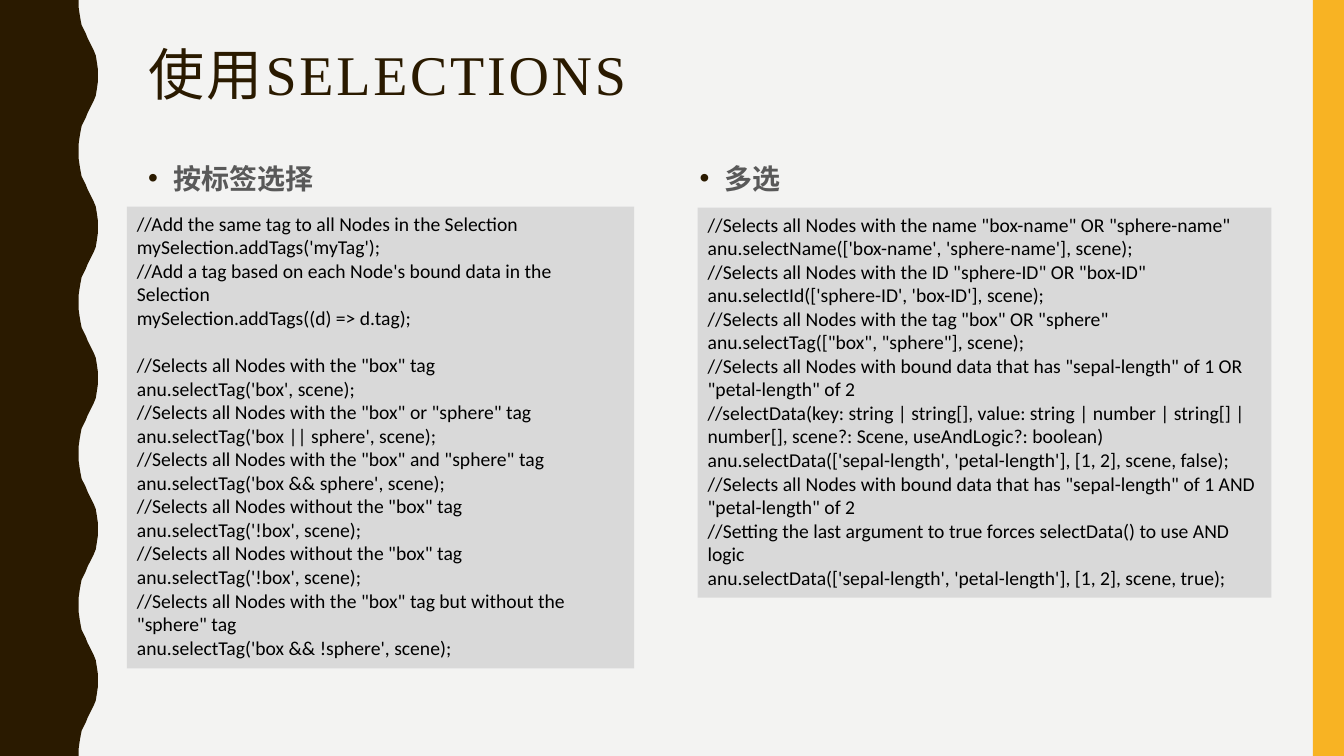
from lxml import etree
from pptx import Presentation
from pptx.dml.color import RGBColor
from pptx.enum.shapes import MSO_SHAPE
from pptx.enum.text import MSO_ANCHOR, MSO_AUTO_SIZE, PP_ALIGN
from pptx.oxml.ns import qn
from pptx.util import Emu, Pt

PX = 9144  # 100 px to the inch
RECTANGLE = MSO_SHAPE.RECTANGLE
TOP = MSO_ANCHOR.TOP
LEFT = PP_ALIGN.LEFT
GROW = MSO_AUTO_SIZE.SHAPE_TO_FIT_TEXT

WIDTH, HEIGHT = 1333, 750
BROWN, YELLOW, PAPER = "2A1A00", "F8B323", "F3F3F2"
CODE_GREY, HEADING_GREY, BLACK = "D9D9D9", "595959", "000000"

WAVE_LENGTH = 150
HALF_WAVE = [(78, 0), (78, 7), (79, 14), (80, 20), (81, 25), (83, 29), (85, 33), (87, 38),
             (89, 42), (91, 46), (93, 50), (95, 55), (96, 61), (97, 68), (97, 75)]

# Each inner list is a block of code lines; blocks are set apart by one line.
TAG_CODE = [
    [
        "//Add the same tag to all Nodes in the Selection",
        "mySelection.addTags('myTag');",
        "//Add a tag based on each Node's bound data in the Selection",
        "mySelection.addTags((d) => d.tag);",
    ],
    [
        "//Selects all Nodes with the \"box\" tag",
        "anu.selectTag('box', scene);",
        "//Selects all Nodes with the \"box\" or \"sphere\" tag",
        "anu.selectTag('box || sphere', scene);",
        "//Selects all Nodes with the \"box\" and \"sphere\" tag",
        "anu.selectTag('box && sphere', scene);",
        "//Selects all Nodes without the \"box\" tag",
        "anu.selectTag('!box', scene);",
        "//Selects all Nodes without the \"box\" tag",
        "anu.selectTag('!box', scene);",
        "//Selects all Nodes with the \"box\" tag but without the \"sphere\" tag",
        "anu.selectTag('box && !sphere', scene);",
    ],
]
MULTIPLE_CODE = [
    [
        "//Selects all Nodes with the name \"box-name\" OR \"sphere-name\"",
        "anu.selectName(['box-name', 'sphere-name'], scene);",
        "//Selects all Nodes with the ID \"sphere-ID\" OR \"box-ID\"",
        "anu.selectId(['sphere-ID', 'box-ID'], scene);",
        "//Selects all Nodes with the tag \"box\" OR \"sphere\"",
        "anu.selectTag([\"box\", \"sphere\"], scene);",
        "//Selects all Nodes with bound data that has \"sepal-length\" of 1 OR \"petal-length\" of 2",
        "//selectData(key: string | string[], value: string | number | string[] | number[], "
        "scene?: Scene, useAndLogic?: boolean)",
        "anu.selectData(['sepal-length', 'petal-length'], [1, 2], scene, false);",
        "//Selects all Nodes with bound data that has \"sepal-length\" of 1 AND \"petal-length\" of 2",
        "//Setting the last argument to true forces selectData() to use AND logic",
        "anu.selectData(['sepal-length', 'petal-length'], [1, 2], scene, true);",
    ],
]


def px(length):
    return Emu(length * PX)


def color(hex_string):
    return RGBColor.from_string(hex_string)


def paint(shape, fill):
    shape.shadow.inherit = False
    shape.fill.solid()
    shape.fill.fore_color.rgb = color(fill)
    shape.line.fill.background()


def add_rectangle(slide, box, fill):
    shape = slide.shapes.add_shape(RECTANGLE, *map(px, box))
    paint(shape, fill)
    return shape


def add_wave_band(slide):
    """Draw the left band, whose right edge repeats one wave down the slide."""
    falling = [(x, WAVE_LENGTH - y) for x, y in reversed(HALF_WAVE[1:-1])]
    edge = [(x, top + y) for top in range(0, HEIGHT, WAVE_LENGTH) for x, y in HALF_WAVE + falling]
    builder = slide.shapes.build_freeform(0, 0, scale=PX)
    builder.add_line_segments(edge + [(HALF_WAVE[0][0], HEIGHT), (0, HEIGHT)], close=True)
    paint(builder.convert_to_shape(), BROWN)


def add_run(paragraph, text, size, font_name, hex_string, bold=False):
    run = paragraph.add_run()
    run.text = text
    run.font.size = Pt(size)
    run.font.name = font_name
    run.font.bold = bold
    run.font.color.rgb = color(hex_string)
    return run


def add_text_box(slide, box):
    """Add a wrapping text box and return its first paragraph."""
    frame = slide.shapes.add_textbox(*map(px, box)).text_frame
    frame.word_wrap = True
    frame.vertical_anchor = TOP
    return frame.paragraphs[0]


def add_title(slide, text):
    paragraph = add_text_box(slide, (137, 42, 1113, 163))
    paragraph.line_spacing = 0.9
    run = add_run(paragraph, text, 40, "Times New Roman", BROWN)
    run.font._element.set("spc", "200")


def add_bullet(paragraph):
    properties = paragraph._p.get_or_add_pPr()
    properties.set("marL", str(px(25)))
    properties.set("indent", str(px(-25)))
    bullet_color = etree.SubElement(properties, qn("a:buClr"))
    etree.SubElement(bullet_color, qn("a:srgbClr"), val=BROWN)
    etree.SubElement(properties, qn("a:buFont"), typeface="Arial")
    etree.SubElement(properties, qn("a:buChar"), char="•")


def add_heading(slide, left, text):
    paragraph = add_text_box(slide, (left, 152, 327, 54))
    add_bullet(paragraph)
    paragraph.line_spacing = 1.1
    add_run(paragraph, text, 20, "Calibri", HEADING_GREY, bold=True)


def add_code(slide, box, blocks):
    frame = add_rectangle(slide, box, CODE_GREY).text_frame
    frame.word_wrap = True
    frame.auto_size = GROW
    frame.vertical_anchor = TOP
    paragraph = frame.paragraphs[0]
    for block_index, block in enumerate(blocks):
        for line_index, line in enumerate(block):
            if block_index or line_index:
                paragraph = frame.add_paragraph()
            if block_index and not line_index:
                paragraph.space_before = Pt(17)
            paragraph.alignment = LEFT
            add_run(paragraph, line, 14, "Calibri", BLACK)


def main():
    presentation = Presentation()
    presentation.slide_width = px(WIDTH)
    presentation.slide_height = px(HEIGHT)
    slide = presentation.slides.add_slide(presentation.slide_layouts[6])
    slide.background.fill.solid()
    slide.background.fill.fore_color.rgb = color(PAPER)

    add_wave_band(slide)
    add_rectangle(slide, (1302, 0, 31, HEIGHT), YELLOW)
    add_title(slide, "使用SELECTIONS")
    add_heading(slide, 137, "按标签选择")
    add_code(slide, (126, 205, 503, 458), TAG_CODE)
    add_heading(slide, 684, "多选")
    add_code(slide, (692, 206, 569, 387), MULTIPLE_CODE)
    presentation.save("out.pptx")


if __name__ == "__main__":
    main()
